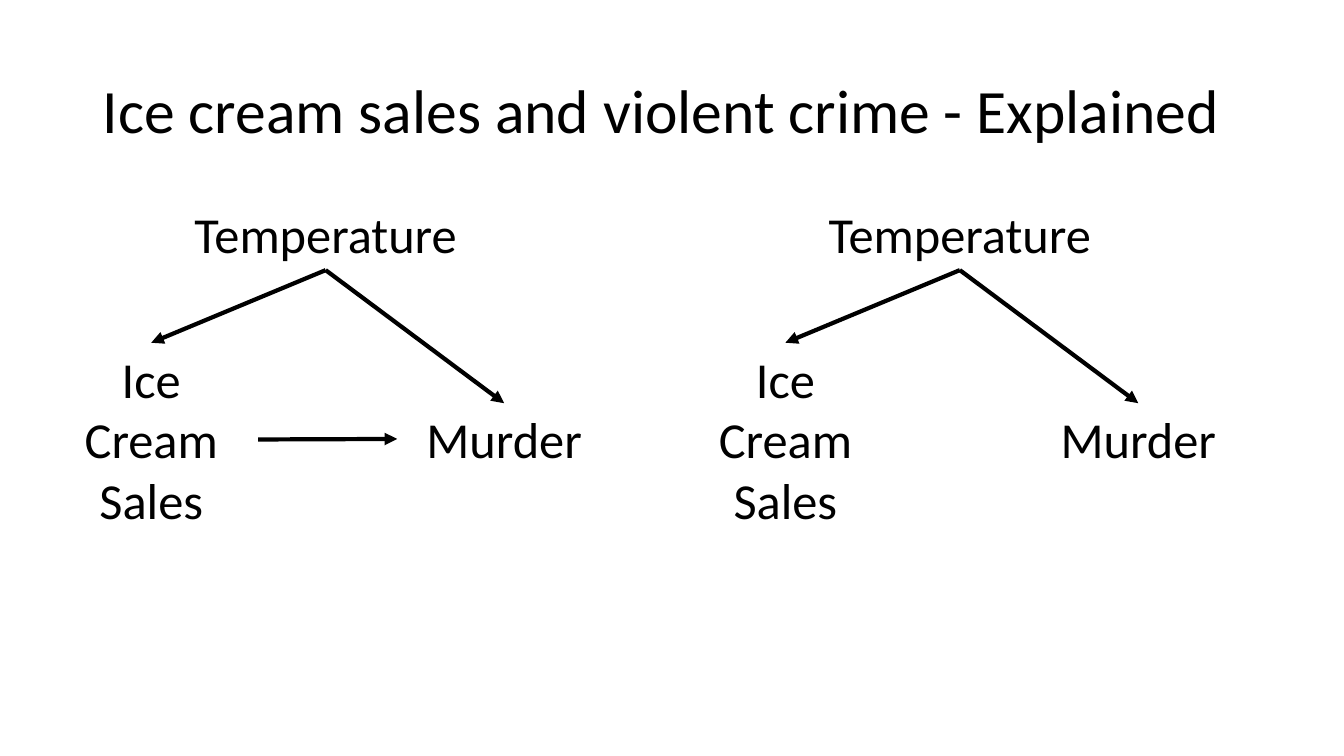
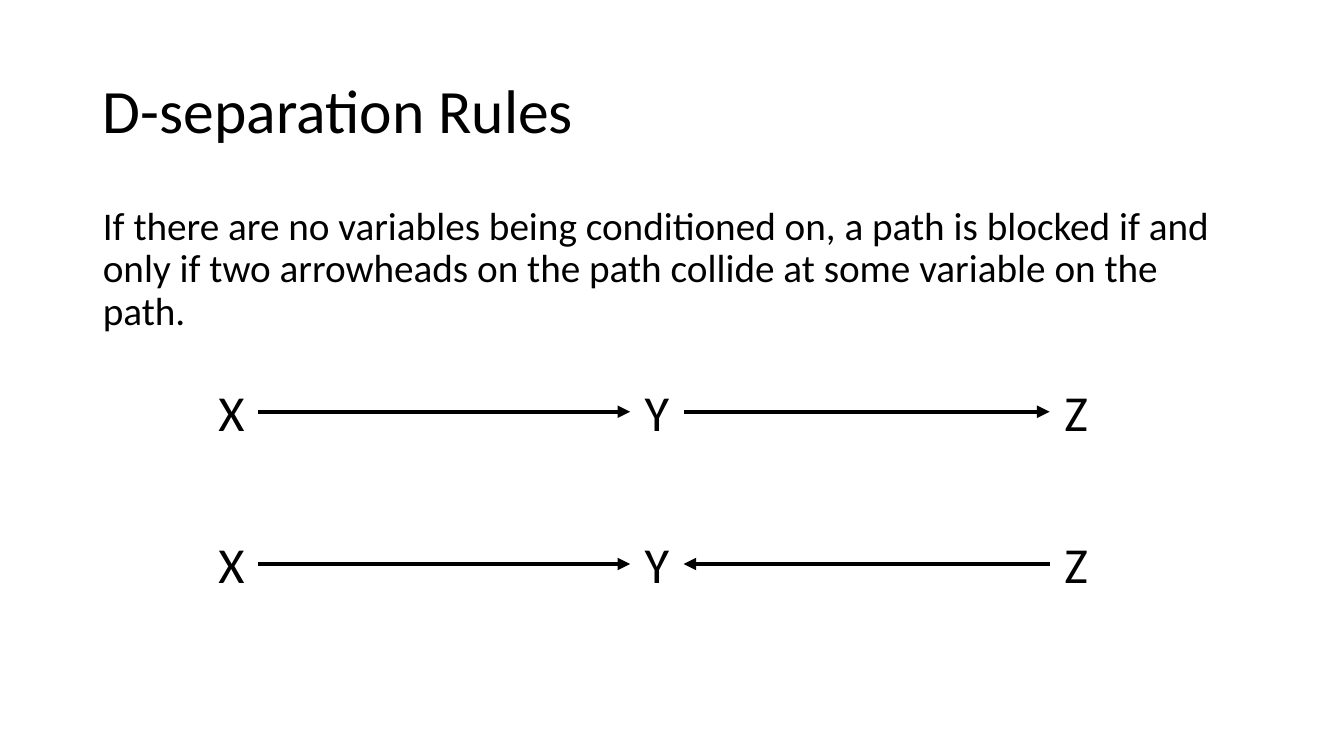
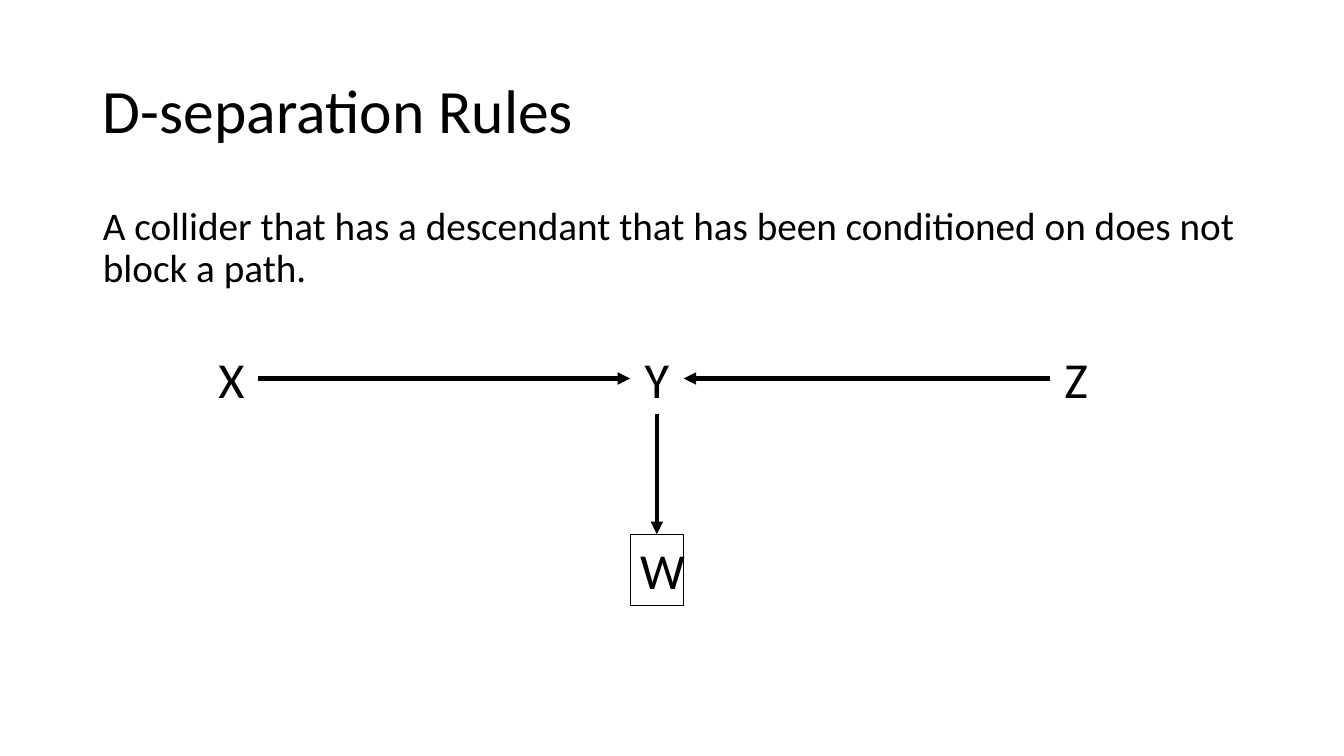
from dataclasses import dataclass
from lxml.etree import SubElement
from pptx import Presentation
from pptx.dml.color import RGBColor
from pptx.enum.shapes import MSO_CONNECTOR
from pptx.enum.text import MSO_ANCHOR, MSO_AUTO_SIZE, PP_ALIGN
from pptx.oxml.ns import qn
from pptx.util import Pt

SCALE = 9144
WIDE, HIGH = 1333, 750
TOP, LEFT, BOTTOM, RIGHT = range(4)
TITLE_BODY, TITLE_ONLY = 1, 5


@dataclass(frozen=True)
class Theme:
    font: str = "Calibri"
    ink: RGBColor = RGBColor(0, 0, 0)
    title: int = 44
    body: int = 28
    node: int = 36
    arrow: float = 3
    frame: float = 0.75


def apply(target, values):
    for name, value in values.items():
        setattr(target, name, value)


def px(*values):
    return [value * SCALE for value in values]


class Deck:
    def __init__(self, theme):
        self.theme = theme
        self.show = Presentation()
        self.show.slide_width, self.show.slide_height = px(WIDE, HIGH)
        self.slide = None

    def label(self, shape, text, size, frame, para):
        apply(shape.text_frame, {"word_wrap": True, "text": text, **frame})
        first = shape.text_frame.paragraphs[0]
        apply(first, para)
        font = first.runs[0].font
        apply(font, {"name": self.theme.font, "size": Pt(size)})
        font.color.rgb = self.theme.ink
        return first

    def place(self, holder, box, text, size, anchor, gap):
        apply(holder, dict(zip(("left", "top", "width", "height"), px(*box))))
        frame = {"auto_size": MSO_AUTO_SIZE.NONE, "vertical_anchor": anchor}
        para = {"alignment": PP_ALIGN.LEFT, "line_spacing": 0.9, "space_before": Pt(gap)}
        return self.label(holder, text, size, frame, para)

    def start(self, title, body=None):
        layout = TITLE_BODY if body else TITLE_ONLY
        self.slide = self.show.slides.add_slide(self.show.slide_layouts[layout])
        self.place(self.slide.shapes.title, (92, 40, 1150, 145), title,
                   self.theme.title, MSO_ANCHOR.MIDDLE, 0)
        if body:
            para = self.place(self.slide.placeholders[1], (92, 200, 1150, 476), body,
                              self.theme.body, MSO_ANCHOR.TOP, 10)
            props = para._p.get_or_add_pPr()
            props.set("marL", "0")
            props.set("indent", "0")
            SubElement(props, qn("a:buNone"))

    def node(self, text, left, top, width=53, height=71, framed=False):
        shape = self.slide.shapes.add_textbox(*px(left, top, width, height))
        frame = {"auto_size": MSO_AUTO_SIZE.SHAPE_TO_FIT_TEXT}
        self.label(shape, text, self.theme.node, frame, {"alignment": PP_ALIGN.CENTER})
        if framed:
            shape.line.color.rgb = self.theme.ink
            shape.line.width = Pt(self.theme.frame)
        return shape

    def arrow(self, start, begin, goal, end):
        link = self.slide.shapes.add_connector(MSO_CONNECTOR.STRAIGHT, 0, 0, 0, 0)
        link.begin_connect(start, begin)
        link.end_connect(goal, end)
        link.line.color.rgb = self.theme.ink
        link.line.width = Pt(self.theme.arrow)
        props = link.element.spPr
        SubElement(props.find(qn("a:ln")), qn("a:tailEnd"), type="triangle")
        SubElement(props, qn("a:effectLst"))

    def cause(self, left, linked):
        sales = self.node("Ice Cream Sales", left, 340, 212, 192)
        murder = self.node("Murder", left + 350, 400, 212)
        heat = self.node("Temperature", left + 138, 197, 282)
        self.arrow(heat, BOTTOM, sales, TOP)
        self.arrow(heat, BOTTOM, murder, TOP)
        if linked:
            self.arrow(sales, RIGHT, murder, LEFT)

    def chain(self, top, collide):
        x, y, z = [self.node(name, left, top)
                   for name, left in (("X", 203), ("Y", 625), ("Z", 1041))]
        self.arrow(x, RIGHT, y, LEFT)
        if collide:
            self.arrow(z, LEFT, y, RIGHT)
        else:
            self.arrow(y, RIGHT, z, LEFT)
        return y


def main():
    deck = Deck(Theme())

    deck.start("Ice cream sales and violent crime - Explained")
    for left, linked in ((44, True), (673, False)):
        deck.cause(left, linked)

    deck.start("D-separation Rules",
               "If there are no variables being conditioned on, a path is blocked "
               "if and only if two arrowheads on the path collide at some variable "
               "on the path.")
    for top, collide in ((373, False), (524, True)):
        deck.chain(top, collide)

    deck.start("D-separation Rules",
               "A collider that has a descendant that has been conditioned on "
               "does not block a path.")
    y = deck.chain(340, True)
    w = deck.node("W", 625, 530, framed=True)
    deck.arrow(y, BOTTOM, w, TOP)

    deck.show.save("out.pptx")


if __name__ == "__main__":
    main()
